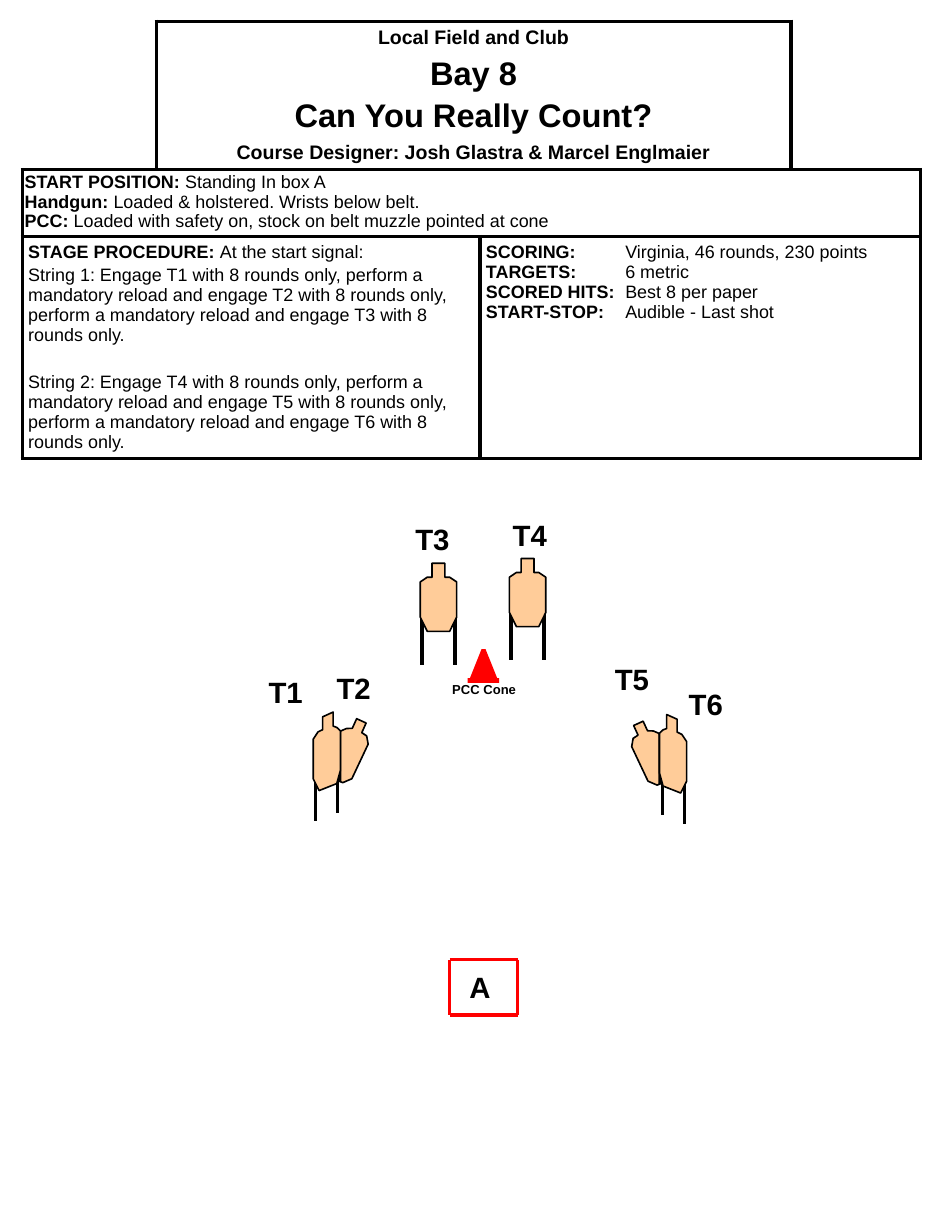
from lxml import etree
from pptx import Presentation
from pptx.dml.color import RGBColor
from pptx.enum import shapes, text
from pptx.oxml.ns import qn
from pptx.util import Pt

BLACK = RGBColor(0x00, 0x00, 0x00)
WHITE = RGBColor(0xFF, 0xFF, 0xFF)
RED = RGBColor(0xFF, 0x00, 0x00)
TAN = RGBColor(0xFF, 0xCC, 0x99)

COLS = (82.1, 198.7, 190.8, 79.2)
ROWS = (90.6, 41, 136)
CENTER = text.PP_ALIGN.CENTER

HEADER = [
    ([("Local Field and Club", True)], 12, {"alignment": CENTER}),
    ([("Bay 8", True)], 20, {"alignment": CENTER, "space_before": Pt(4)}),
    ([("Can You Really Count?", True)], 20, {"alignment": CENTER, "space_before": Pt(4)}),
    ([("Course Designer: Josh Glastra & Marcel Englmaier", True)], 12,
     {"alignment": CENTER, "space_before": Pt(4.2)}),
]
START = [
    ([(head, True), (body, False)], 11, {"line_spacing": 0.9, "space_before": Pt(gap)})
    for head, body, gap in (
        ("START POSITION: ", "Standing In box A", 0),
        ("Handgun:", " Loaded & holstered. Wrists below belt.", 1.1),
        ("PCC:", " Loaded with safety on, stock on belt muzzle pointed at cone", 1.1),
    )
]
STRING = ("String {}: Engage T{} with 8 rounds only, perform a mandatory reload and engage "
          "T{} with 8 rounds only, perform a mandatory reload and engage T{} with 8 rounds only.")
PROCEDURE = [
    ([("STAGE PROCEDURE: ", True), ("At the start signal:", False)], 11, {}),
    ([(STRING.format(1, 1, 2, 3), False)], 11, {"space_before": Pt(2.2)}),
    ([(STRING.format(2, 4, 5, 6), False)], 11, {"space_before": Pt(16.5)}),
]
SCORING = [
    ([(head + "\t", True), (body, False)], 11, {})
    for head, body in (
        ("SCORING:", "Virginia, 46 rounds, 230 points"),
        ("TARGETS:", "6 metric"),
        ("SCORED HITS:", "Best 8 per paper"),
        ("START-STOP:", "Audible - Last shot"),
    )
]

UPRIGHT = [(7.2, 0), (15.1, 0), (15.1, 8.6), (18, 8.6), (22.3, 11.5), (22.3, 33.1),
           (18, 41.8), (4.3, 41.8), (0, 33.1), (0, 11.5), (4.3, 8.6), (7.2, 8.6)]
REAR = [(27.4, 4.3), (33.1, 7.2), (30.2, 13), (33.1, 15.1), (33.8, 20.2), (23, 41),
        (17.3, 43.2), (7.9, 38.9), (8.6, 30.2), (17.3, 11.5), (20.9, 10.1), (24.5, 10.1)]
SHADE = [(17.3, 43.2), (7.9, 38.2), (8.6, 29.5), (17.3, 11.5)]
FRONT = [(5.8, 2.9), (12.2, 0), (12.2, 8.6), (14.4, 9.4), (16.6, 11.5), (16.6, 36),
         (14.4, 43.9), (3.6, 48.2), (0, 41), (0, 16.6), (2.9, 12.2), (5.8, 10.8)]
PAIR_LEGS = ((1.4, 29.5), (14.8, 24.5))


def set_all(obj, values):
    for name, value in values.items():
        setattr(obj, name, value)


def write(tf, paragraphs, tab=None):
    for i, (runs, size, fmt) in enumerate(paragraphs):
        p = tf.paragraphs[0] if i == 0 else tf.add_paragraph()
        set_all(p, fmt)
        if tab:
            tabs = etree.SubElement(p._p.get_or_add_pPr(), qn("a:tabLst"))
            etree.SubElement(tabs, qn("a:tab"), pos=str(Pt(tab)), algn="l")
        for words, bold in runs:
            r = p.add_run()
            r.text = words
            set_all(r.font, {"name": "Arial", "size": Pt(size), "bold": bold})
            r.font.color.rgb = BLACK


def style(sp, fill, line=None, width=1):
    sp.shadow.inherit = False
    sp.fill.solid()
    sp.fill.fore_color.rgb = fill
    if line is None:
        sp.line.fill.background()
    else:
        sp.line.color.rgb = line
        sp.line.width = Pt(width)


def add_line(s, x1, y1, x2, y2, color, width):
    sp = s.shapes.add_connector(shapes.MSO_CONNECTOR.STRAIGHT, Pt(x1), Pt(y1), Pt(x2), Pt(y2))
    sp.line.color.rgb = color
    sp.line.width = Pt(width)
    etree.SubElement(sp._element.spPr, qn("a:effectLst"))


def add_label(s, x, y, w, h, words, size=18, inset=7.2, align=text.PP_ALIGN.LEFT):
    tf = s.shapes.add_textbox(Pt(x), Pt(y), Pt(w), Pt(h)).text_frame
    set_all(tf, {"word_wrap": True, "margin_left": Pt(inset), "margin_right": Pt(inset)})
    write(tf, [([(words, True)], size, {"alignment": align})])


def add_outline(s, x, y, points, fill, line=None):
    pts = [(Pt(x + px), Pt(y + py)) for px, py in points]
    fb = s.shapes.build_freeform(*pts[0])
    fb.add_line_segments(pts[1:], close=True)
    sp = fb.convert_to_shape()
    style(sp, fill, line)
    return sp


def border_cell(cell, sides):
    tcPr = cell._tc.get_or_add_tcPr()
    for i, side in enumerate("LRTB"):
        ln = etree.Element(qn("a:ln" + side), w=str(Pt(2.25)))
        if side in sides:
            fill = etree.SubElement(ln, qn("a:solidFill"))
            etree.SubElement(fill, qn("a:srgbClr"), val=str(BLACK))
        else:
            etree.SubElement(ln, qn("a:noFill"))
        tcPr.insert(i, ln)


def stage_table(s, x, y):
    tbl = s.shapes.add_table(len(ROWS), len(COLS), Pt(x), Pt(y), Pt(sum(COLS)), Pt(sum(ROWS))).table
    set_all(tbl, {"first_row": False, "horz_banding": False})
    for col, w in zip(tbl.columns, COLS):
        col.width = Pt(w)
    for row, h in zip(tbl.rows, ROWS):
        row.height = Pt(h)
    corner_sides = {(0, 0): "RB", (0, 3): "LB"}
    for i in range(len(ROWS)):
        for j in range(len(COLS)):
            cell = tbl.cell(i, j)
            border_cell(cell, corner_sides.get((i, j), "LRTB"))
            cell.fill.solid()
            cell.fill.fore_color.rgb = WHITE
    blocks = (
        (0, 1, 2, HEADER, 3.6, 3.6, text.MSO_ANCHOR.MIDDLE, None),
        (1, 0, 3, START, 1.4, 2.9, text.MSO_ANCHOR.TOP, None),
        (2, 0, 1, PROCEDURE, 3.6, 3.6, text.MSO_ANCHOR.TOP, None),
        (2, 2, 3, SCORING, 3.6, 3.6, text.MSO_ANCHOR.TOP, 85.5),
    )
    for row, first, last, paragraphs, side, top, anchor, tab in blocks:
        cell = tbl.cell(row, first)
        cell.merge(tbl.cell(row, last))
        set_all(cell, {"margin_left": Pt(side), "margin_right": Pt(side), "margin_top": Pt(top),
                       "margin_bottom": Pt(top), "vertical_anchor": anchor})
        write(cell.text_frame, paragraphs, tab)


def upright_target(s, x, y):
    for leg in (0.9, 21.4):
        add_line(s, x + leg, y + 31, x + leg, y + 62.3, BLACK, 2.25)
    add_outline(s, x, y, UPRIGHT, TAN, BLACK)


def target_pair(s, x, y, w=33.8, mirrored=False):
    def place(points):
        return [(w - px, py) for px, py in points] if mirrored else points

    rear = add_outline(s, x, y, place(REAR), TAN, BLACK)
    rear.rotation = 2.2 if mirrored else 357.7
    add_outline(s, x, y, place(SHADE), BLACK)
    for leg, top in PAIR_LEGS:
        lx = x + place([(leg, top)])[0][0]
        add_line(s, lx, y + top, lx, y + top + 37.4, BLACK, 2)
    add_outline(s, x, y, place(FRONT), TAN, BLACK)


def cone(s, x, y):
    parts = (
        (shapes.MSO_SHAPE.ISOSCELES_TRIANGLE, 18, 0, 17.3, 21.6, RED),
        (shapes.MSO_SHAPE.RECTANGLE, 22.3, 0, 8.6, 2.9, WHITE),
        (shapes.MSO_SHAPE.RECTANGLE, 16.8, 20.9, 19.4, 2.9, RED),
    )
    for kind, dx, dy, w, h, color in parts:
        style(s.shapes.add_shape(kind, Pt(x + dx), Pt(y + dy), Pt(w), Pt(h)), color)
    add_label(s, x, y + 19.4, 54, 17.3, "PCC Cone", 8, 0, CENTER)


def start_box(s, x, y, w, h):
    corners = [(x, y), (x + w, y), (x + w, y + h), (x, y + h)]
    for a, b in zip(corners, corners[1:] + corners[:1]):
        add_line(s, *a, *b, RED, 2)
    add_label(s, x + 5, y + 2.2, 26.6, 28.8, "A")


def main():
    prs = Presentation()
    set_all(prs, {"slide_width": Pt(576), "slide_height": Pt(756)})
    s = prs.slides.add_slide(prs.slide_layouts[6])
    stage_table(s, 13.7, 13)
    cone(s, 270, 395.3)
    upright_target(s, 312.5, 342.7)
    upright_target(s, 257.8, 345.6)
    target_pair(s, 192.2, 437)
    target_pair(s, 387.4, 438.5, mirrored=True)
    labels = ((157.7, 410.4), (199.4, 407.5), (247.7, 316.1),
              (307.4, 313.9), (370.1, 402.5), (415.4, 417.6))
    for number, (x, y) in enumerate(labels, 1):
        add_label(s, x, y, 41.8, 28.8, f"T{number}")
    start_box(s, 275.8, 588.9, 41.8, 33.9)
    prs.save("out.pptx")


if __name__ == "__main__":
    main()
